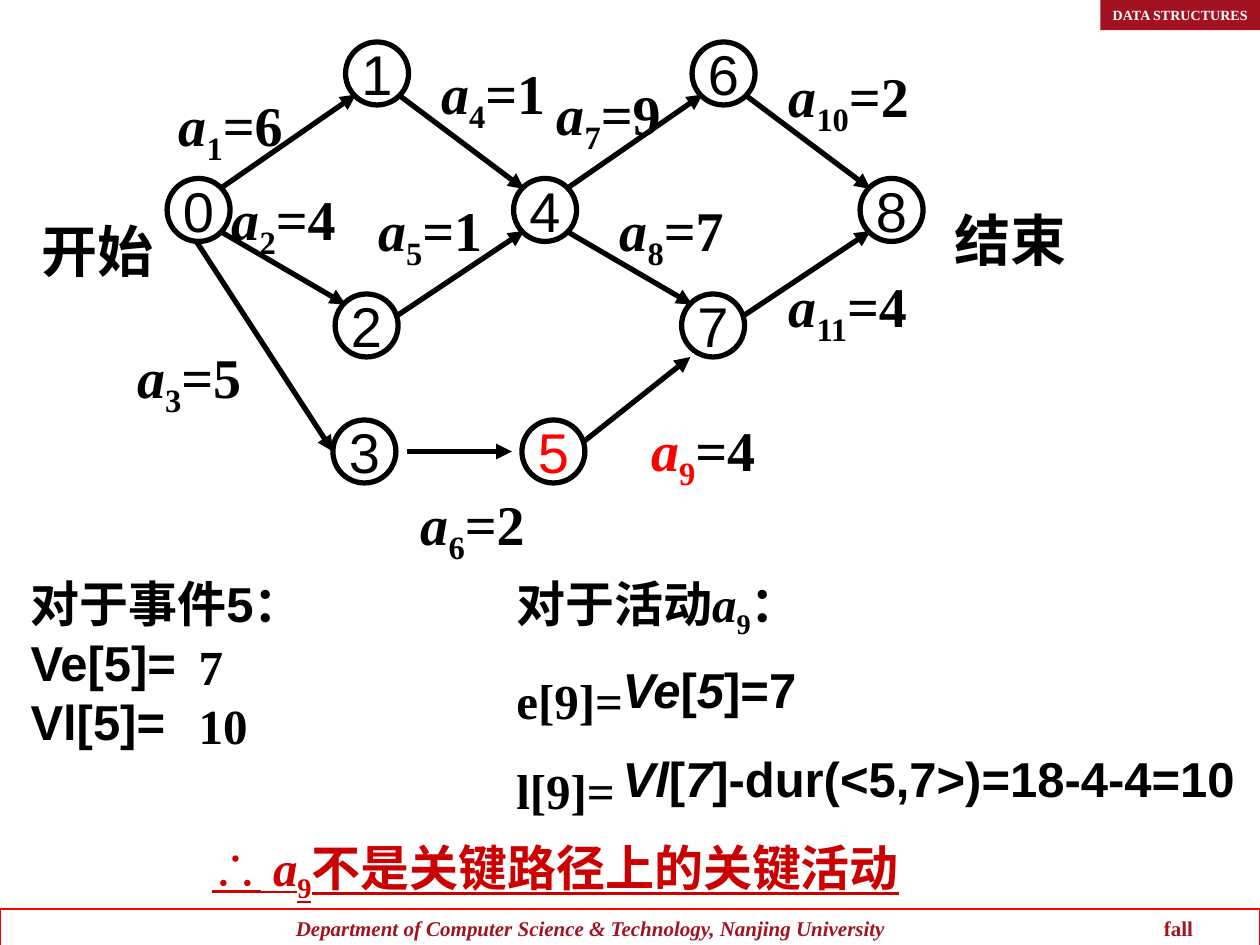
"""Build a slide that checks activity a9 of an AOE network for criticality."""
from dataclasses import dataclass

from lxml import etree
from pptx import Presentation
from pptx.dml.color import RGBColor
from pptx.enum.shapes import MSO_CONNECTOR, MSO_SHAPE
from pptx.enum.text import MSO_ANCHOR, MSO_AUTO_SIZE, PP_ALIGN
from pptx.oxml.ns import qn
from pptx.util import Pt

STRAIGHT = MSO_CONNECTOR.STRAIGHT
OVAL, RECTANGLE = MSO_SHAPE.OVAL, MSO_SHAPE.RECTANGLE
TOP, MIDDLE = MSO_ANCHOR.TOP, MSO_ANCHOR.MIDDLE
FIT_SHAPE = MSO_AUTO_SIZE.SHAPE_TO_FIT_TEXT
LEFT, CENTER = PP_ALIGN.LEFT, PP_ALIGN.CENTER


@dataclass(frozen=True)
class Theme:
    """Colours, fonts and type sizes."""
    black: str = "000000"
    white: str = "FFFFFF"
    red: str = "FF0000"
    conclusion: str = "CC0000"
    maroon: str = "A31221"
    serif: str = "Times New Roman"
    sans: str = "Arial"
    graph: int = 32
    body: int = 28
    footer: int = 12
    tag: int = 8


THEME = Theme()
SERIF = {"font": THEME.serif, "bold": True, "color": THEME.black}
SANS = {**SERIF, "font": THEME.sans}
ITALIC = {"italic": True}
SUBSCRIPT = {"subscript": True}

STAGE_PITCH = 198
NODE_SIZE = 36
STAGE_NODES = [("0", 95.5, 102), ("1", 197.5, 24), ("2", 191.5, 168)]
NEXT_STAGE_NAMES = {"0": "4", "1": "6", "2": "7"}
OTHER_NODES = [("8", 491.5, 102), ("3", 190.25, 240), ("5", 298.25, 240)]
STAGE_EDGES = [
    (125.5, 108, 203.5, 54),
    (125.5, 132, 197.5, 174),
    (227.5, 54, 299.5, 108),
    (227.5, 180, 299.5, 132),
]
OTHER_EDGES = [
    (112.25, 138, 190.25, 258),
    (232.5, 258, 292.5, 258),
    (334, 252, 394.5, 204),
]
ACTIVITIES = [
    ("1", 6, 95, 48), ("2", 4, 125.25, 102), ("3", 5, 71.25, 192),
    ("4", 1, 245, 30), ("5", 1, 209, 108), ("6", 2, 233.25, 276),
    ("7", 9, 311, 42), ("8", 7, 347, 108), ("9", 4, 365, 234),
    ("10", 2, 443.5, 31.5), ("11", 4, 443.5, 151.5),
]
LABEL_WIDTHS = {1: 76, 2: 85}
CRITICAL_NODE, CRITICAL_ACTIVITY = "5", "9"
ENDPOINTS = [("开始", 16.5, 120), ("结束", 538.5, 114)]

EVENT = [[("对于事件5：", {})], [("Ve[5]=", {})], [("Vl[5]=", {})]]
EVENT_VALUES = [[("7", {})], [("10", {})]]
ACTIVITY = [
    [("对于活动", {}), ("a", ITALIC), ("9", SUBSCRIPT), ("：", {})],
    [("e[9]=", {})],
    [("l[9]=", {})],
]
FORMULAS = [
    [("Ve", ITALIC), ("[", {}), ("5", ITALIC), ("]=7", {})],
    [("Vl", ITALIC), ("[", {}), ("7", ITALIC),
     ("]-dur(<5,7>)=18-4-4=10", {})],
]
CONCLUSION = [[
    ("∴", {"font": THEME.sans}), (" ", {}), ("a", ITALIC), ("9", SUBSCRIPT),
    ("不是关键路径上的关键活动", {}),
]]
BODY_BOXES = [
    (EVENT, (10.4, 324.4, 324, 108), SANS, 0, True),
    (ACTIVITY, (288, 324, 366, 147.5), SERIF, 17.5, True),
    (EVENT_VALUES, (106.5, 360.4, 72, 75), SERIF, 0, True),
    (FORMULAS, (348.75, 373.25, 368, 126), SANS, 17.5, False),
    (CONCLUSION, (114, 475, 432, 45),
     {**SERIF, "color": THEME.conclusion, "underline": True}, 0, True),
]
FOOTER = [[
    ("\tDepartment of Computer Science & Technology, Nanjing University", ITALIC),
    ("\tfall", {}),
]]
FOOTER_TABS = (162, 658)
TAG = [[("DATA STRUCTURES", {})]]


def points(values):
    return [Pt(value) for value in values]


def write(shape, paragraphs, size, base, gap=0, align=LEFT, tabs=()):
    frame = shape.text_frame
    for index, runs in enumerate(paragraphs):
        paragraph = frame.add_paragraph() if index else frame.paragraphs[0]
        paragraph.alignment = align
        if index and gap:
            paragraph.space_before = Pt(gap)
        if tabs:
            properties = paragraph._p.get_or_add_pPr()
            tab_list = etree.SubElement(properties, qn("a:tabLst"))
            for position in tabs:
                etree.SubElement(tab_list, qn("a:tab"),
                                 pos=str(Pt(position)), algn="l")
        for text, changes in runs:
            style = {**base, **changes}
            run = paragraph.add_run()
            run.text = text
            run.font.name = style["font"]
            run.font.size = Pt(size)
            run.font.bold = style["bold"]
            run.font.italic = style.get("italic", False)
            run.font.underline = style.get("underline", False)
            run.font.color.rgb = RGBColor.from_string(style["color"])
            if style.get("subscript"):
                run._r.get_or_add_rPr().set("baseline", "-25000")


def add_text(slide, paragraphs, place, size, base, gap=0, wrap=False):
    box = slide.shapes.add_textbox(*points(place))
    box.text_frame.word_wrap = wrap
    box.text_frame.auto_size = FIT_SHAPE
    write(box, paragraphs, size, base, gap)


def add_panel(slide, kind, place, fill=None, line=None, width=0.75, anchor=TOP):
    shape = slide.shapes.add_shape(kind, *points(place))
    shape.shadow.inherit = False
    shape.text_frame.vertical_anchor = anchor
    for target, color in ((shape.fill, fill), (shape.line.fill, line)):
        if color:
            target.solid()
            target.fore_color.rgb = RGBColor.from_string(color)
        else:
            target.background()
    if line:
        shape.line.width = Pt(width)
    return shape


def add_edge(slide, ends):
    edge = slide.shapes.add_connector(STRAIGHT, *points(ends))
    edge.line.width = Pt(3)
    edge.line.color.rgb = RGBColor.from_string(THEME.black)
    etree.SubElement(edge.line._get_or_add_ln(), qn("a:tailEnd"), type="triangle")
    etree.SubElement(edge._element.spPr, qn("a:effectLst"))


def add_node(slide, name, left, top):
    node = add_panel(slide, OVAL, (left, top, NODE_SIZE, NODE_SIZE),
                     line=THEME.black, width=3, anchor=MIDDLE)
    node.text_frame.word_wrap = False
    color = THEME.red if name == CRITICAL_NODE else THEME.black
    write(node, [[(name, {})]], THEME.graph,
          {**SANS, "bold": False, "color": color}, align=CENTER)


def add_network(slide):
    shifted_edges = [(x1 + STAGE_PITCH, y1, x2 + STAGE_PITCH, y2)
                     for x1, y1, x2, y2 in STAGE_EDGES]
    for ends in STAGE_EDGES + shifted_edges + OTHER_EDGES:
        add_edge(slide, ends)
    shifted_nodes = [(NEXT_STAGE_NAMES[name], left + STAGE_PITCH, top)
                     for name, left, top in STAGE_NODES]
    for node in STAGE_NODES + shifted_nodes + OTHER_NODES:
        add_node(slide, *node)
    for number, duration, left, top in ACTIVITIES:
        color = {"color": THEME.red if number == CRITICAL_ACTIVITY else THEME.black}
        label = [("a", {**ITALIC, **color}), (number, {**SUBSCRIPT, **color}),
                 (f"={duration}", {})]
        place = (left, top, LABEL_WIDTHS[len(number)], 51)
        add_text(slide, [label], place, THEME.graph, SERIF)
    for text, left, top in ENDPOINTS:
        add_text(slide, [[(text, {})]], (left, top, 78.5, 46), THEME.graph, SERIF)


def main():
    presentation = Presentation()
    presentation.slide_width, presentation.slide_height = Pt(720), Pt(540)
    slide = presentation.slides.add_slide(presentation.slide_layouts[6])
    footer = add_panel(slide, RECTANGLE, (0, 519.5, 720, 21.5), line=THEME.red)
    write(footer, FOOTER, THEME.footer, {**SERIF, "color": THEME.maroon},
          tabs=FOOTER_TABS)
    tag = add_panel(slide, RECTANGLE, (628.75, 0, 96, 17.25), fill=THEME.maroon)
    write(tag, TAG, THEME.tag, {**SERIF, "color": THEME.white})
    add_network(slide)
    for paragraphs, place, base, gap, wrap in BODY_BOXES:
        add_text(slide, paragraphs, place, THEME.body, base, gap, wrap)
    presentation.save("out.pptx")


if __name__ == "__main__":
    main()
